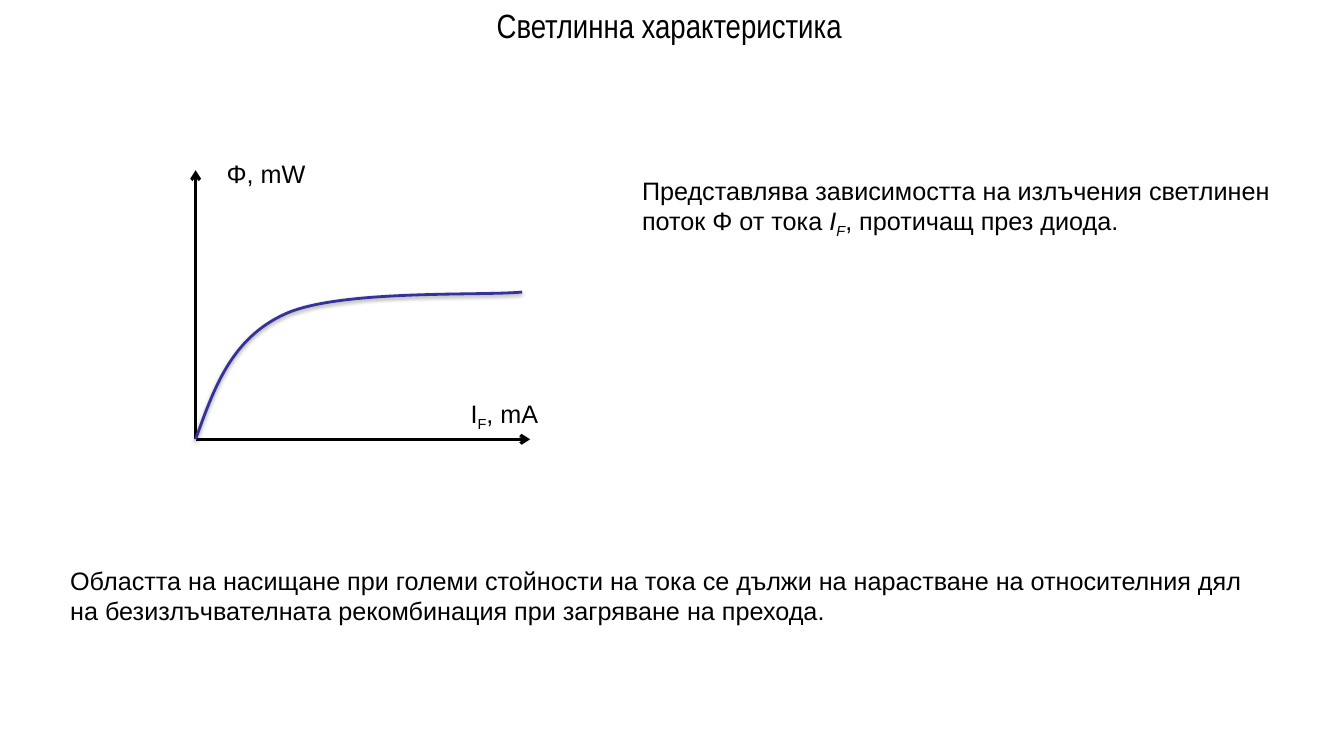
import pptx
import pptx.util
import pptx.dml.color
import pptx.enum.shapes
import pptx.enum.text
import pptx.oxml
import pptx.oxml.ns
from dataclasses import dataclass

Cm, Pt = pptx.util.Cm, pptx.util.Pt

# Content: runs are (text, style), where style holds "i" italic and "_" subscript
TITLE = [("Светлинна характеристика", "")]
DEFINITION = [
    ("Представлява зависимостта на излъчения светлинен поток Φ от тока ", ""),
    ("I", "i"), ("F", "i_"), (", протичащ през диода.", ""),
]
SATURATION = [
    ("Областта на насищане при големи стойности на тока се дължи на нарастване "
     "на относителния дял на безизлъчвателната рекомбинация при загряване на прехода.", ""),
]
FLUX_LABEL = [("Φ, mW", "")]
CURRENT_LABEL = [("I", ""), ("F", "_"), (", mA", "")]

# Chart geometry in cm; curve offsets run right and up from the origin,
# three per cubic segment (two handles and an end)
ORIGIN = (4.93, 11.07)
FLUX_LENGTH, CURRENT_LENGTH = 6.78, 8.43
CURVE = [(0.46, 1.27), (0.89, 2.54), (2.26, 3.16),
         (3.63, 3.78), (7.19, 3.61), (8.23, 3.71)]
LABEL_SIZE = (3.1, 1.02)


@dataclass(frozen=True)
class Theme:
    ink: str = "000000"
    curve: str = "333399"
    title_font: str = "Arial Narrow"
    body_font: str = "Arial"
    title_size: float = 24
    body_size: float = 18
    axis_width: float = 2.25
    curve_width: float = 2


THEME = Theme()


def rgb(value):
    return pptx.dml.color.RGBColor.from_string(value)


def xml(tag, parent, **attributes):
    """Append one DrawingML element to parent."""
    e = parent.makeelement(pptx.oxml.ns.qn(tag), attributes)
    parent.append(e)
    return e


def write(sp, runs, *, font=THEME.body_font, size=THEME.body_size, align="LEFT"):
    tf = sp.text_frame
    tf.word_wrap = True
    tf.auto_size = pptx.enum.text.MSO_AUTO_SIZE.NONE
    tf.vertical_anchor = pptx.enum.text.MSO_ANCHOR.TOP
    p = tf.paragraphs[0]
    p.alignment = pptx.enum.text.PP_ALIGN[align]
    for text, style in runs:
        r = p.add_run()
        r.text = text
        r.font.name, r.font.size = font, Pt(size)
        r.font.color.rgb = rgb(THEME.ink)
        r.font.italic = "i" in style
        if "_" in style:
            r.font._element.set("baseline", "-25000")


def add_text(shapes, box, runs):
    write(shapes.add_textbox(*map(Cm, box)), runs)


def add_axis(shapes, dx, dy):
    x, y = ORIGIN
    line = shapes.add_connector(pptx.enum.shapes.MSO_CONNECTOR.STRAIGHT,
                                Cm(x), Cm(y), Cm(x + dx), Cm(y - dy))
    line.line.color.rgb = rgb(THEME.ink)
    line.line.width = Pt(THEME.axis_width)
    xml("a:tailEnd", line.line._get_or_add_ln(), type="arrow")
    xml("a:effectLst", line._element.spPr)


def add_curve(shapes):
    x, y = ORIGIN
    fb = shapes.build_freeform(Cm(x), Cm(y))
    fb.add_line_segments([(Cm(x + dx), Cm(y - dy)) for dx, dy in CURVE], close=False)
    sp = fb.convert_to_shape()
    # Every three points become one cubic segment
    steps = sp._element.xpath(".//a:lnTo")
    for i in range(0, len(steps), 3):
        cubic = steps[i].makeelement(pptx.oxml.ns.qn("a:cubicBezTo"), {})
        steps[i].addprevious(cubic)
        for step in steps[i:i + 3]:
            cubic.append(step[0])
            step.getparent().remove(step)
    sp.fill.background()
    sp.line.color.rgb = rgb(THEME.curve)
    sp.line.width = Pt(THEME.curve_width)
    # Soft shadow straight below
    sp.shadow.inherit = False
    effects = sp._element.spPr.find(pptx.oxml.ns.qn("a:effectLst"))
    shadow = xml("a:outerShdw", effects, blurRad=str(Pt(3.1)), dist=str(Pt(1.6)),
                 dir="5400000", rotWithShape="0")
    xml("a:alpha", xml("a:srgbClr", shadow, val=THEME.ink), val="38000")


def main():
    prs = pptx.Presentation()
    prs.slide_width, prs.slide_height = Cm(33.87), Cm(19.05)
    s = prs.slides.add_slide(prs.slide_layouts[5])

    # Title
    title = s.shapes.title
    title.left, title.top, title.width, title.height = map(Cm, (6.07, 0, 21.59, 3.18))
    write(title, TITLE, font=THEME.title_font, size=THEME.title_size, align="CENTER")

    # Explanations
    add_text(s.shapes, (1.52, 14.12, 30.2, 1.8), SATURATION)
    add_text(s.shapes, (15.93, 4.29, 16.79, 1.8), DEFINITION)

    # Light characteristic: axes, curve, axis labels
    chart = s.shapes.add_group_shape().shapes
    add_axis(chart, 0, FLUX_LENGTH)
    add_axis(chart, CURRENT_LENGTH, 0)
    add_curve(chart)
    add_text(chart, (5.46, 3.86, *LABEL_SIZE), FLUX_LABEL)
    add_text(chart, (11.61, 9.91, *LABEL_SIZE), CURRENT_LABEL)

    prs.save("out.pptx")


if __name__ == "__main__":
    main()
